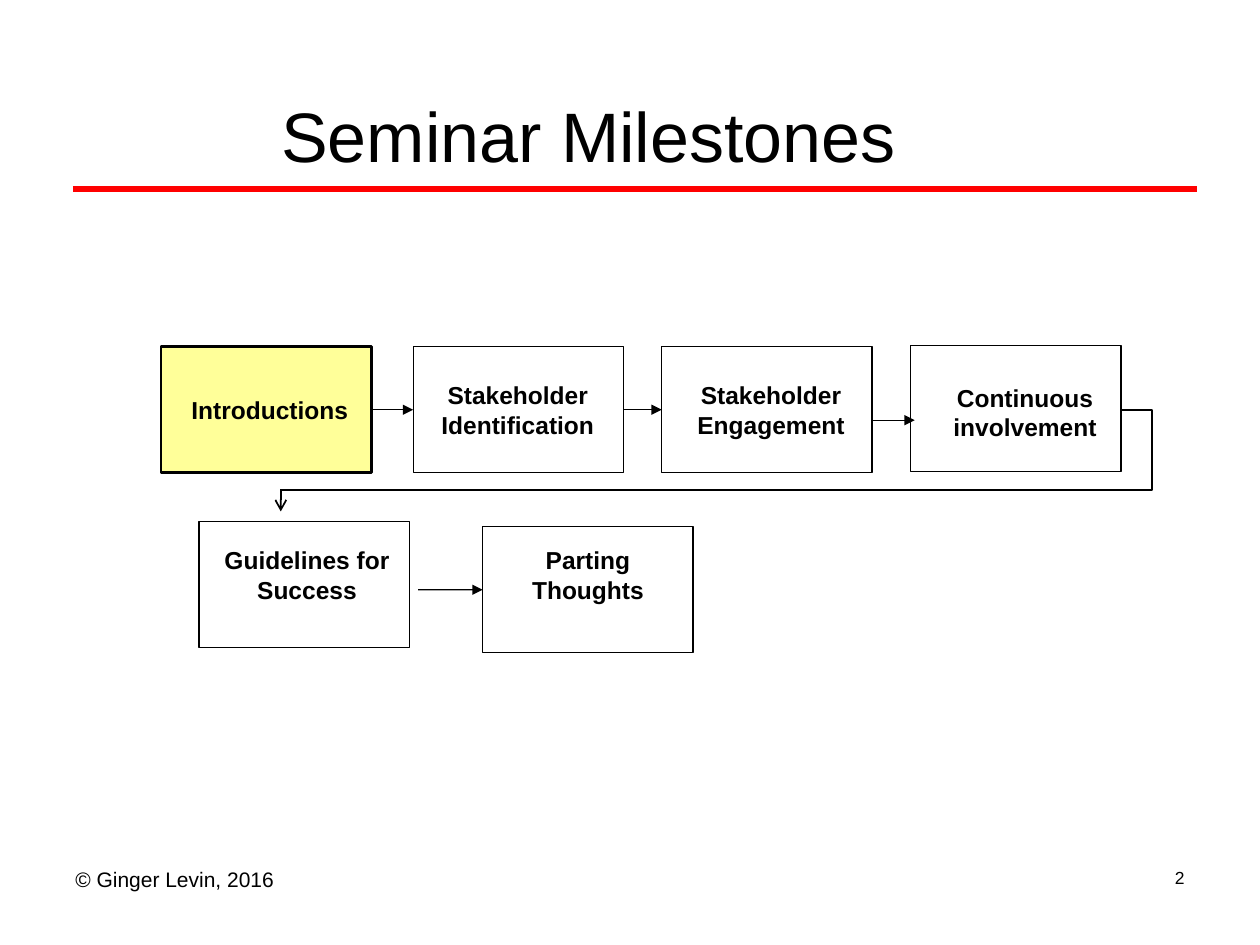
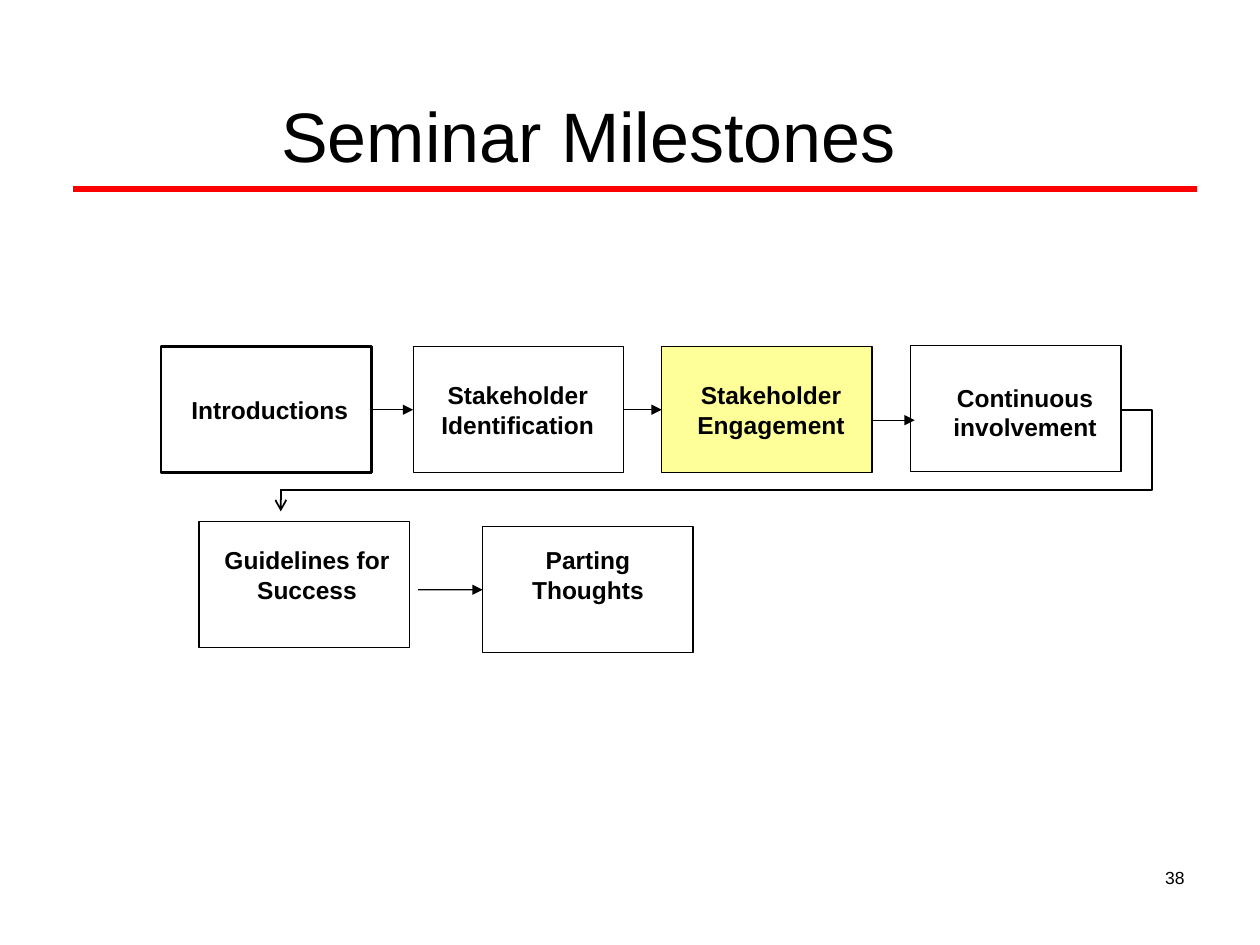
from lxml import etree
from pptx import Presentation
from pptx.dml.color import RGBColor as Rgb
from pptx.enum.shapes import MSO_CONNECTOR as Link, MSO_SHAPE as Shape
from pptx.enum.text import MSO_ANCHOR as Anchor, PP_ALIGN as Align
from pptx.oxml.ns import qn
from pptx.util import Cm, Pt

HUES = {"ink": "000000", "rule": "FF0000", "glow": "FFFF99"}
FONT = "Arial"
WIDE, HIGH = 4.24, 2.54

# name: box left, top, line width; label left, top, width, height
STEPS = {
    "Introductions": (3.25, 6.99, 1.5, 3.34, 7.84, 4.2, 0.86),
    "Stakeholder Identification": (8.33, 6.99, 0.5, 8.41, 7.54, 4.06, 2.03),
    "Stakeholder Engagement": (13.34, 6.99, 0.75, 13.31, 7.54, 4.47, 1.45),
    "Continuous involvement": (18.36, 6.96, 0.75, 18.44, 7.59, 4.45, 1.45),
    "Guidelines for Success": (4.01, 10.52, 0.75, 4.22, 10.87, 3.94, 1.45),
    "Parting Thoughts": (9.73, 10.62, 0.75, 10.19, 10.87, 3.33, 1.45),
}

# active step, page number, copyright line
PAGES = [
    ("Introductions", "2", "© Ginger Levin, 2016"),
    ("Stakeholder Engagement", "38", ""),
]


def write(shape, text, size, align, bold=False):
    frame = shape.text_frame
    frame.text = text
    frame.word_wrap = True
    para = frame.paragraphs[0]
    para.alignment = align
    font = para.runs[0].font
    font.name, font.size, font.bold = FONT, Pt(size), bold
    font.color.rgb = Rgb.from_string(HUES["ink"])


def draw(slide, ends, width=0.75, hue="ink", head=None, kind=Link.STRAIGHT):
    """Add a connector between ends (x1, y1, x2, y2), given in cm."""
    wire = slide.shapes.add_connector(kind, *map(Cm, ends))
    wire.line.width = Pt(width)
    wire.line.color.rgb = Rgb.from_string(HUES[hue])
    if head:
        etree.SubElement(wire.line._get_or_add_ln(), qn("a:tailEnd"), type=head)
    etree.SubElement(wire._element.spPr, qn("a:effectLst"))
    return wire


deck = Presentation()
deck.slide_width, deck.slide_height = Cm(25.4), Cm(19.05)
plan = deck.slide_layouts[5]
head = plan.placeholders[0]
head.left, head.top, head.width, head.height = map(Cm, (0.43, 1.12, 22.86, 3.18))
head.text_frame.vertical_anchor = Anchor.MIDDLE

for active, page, credit in PAGES:
    slide = deck.slides.add_slide(plan)
    shapes = slide.shapes
    write(shapes.title, "Seminar Milestones", 40, Align.CENTER)

    # The red rule belongs to the layout, so every slide shows it
    if page == PAGES[0][1]:
        rule = draw(slide, (1.47, 3.81, 24.13, 3.81), 3, "rule")
        plan.shapes.element.append(rule._element)

    boxes = []
    for name, (left, top, edge, *area) in STEPS.items():
        box = shapes.add_shape(Shape.RECTANGLE, *map(Cm, (left, top, WIDE, HIGH)))
        box.shadow.inherit = False
        box.line.width = Pt(edge)
        box.line.color.rgb = Rgb.from_string(HUES["ink"])
        if name == active:
            box.fill.solid()
            box.fill.fore_color.rgb = Rgb.from_string(HUES["glow"])
        else:
            box.fill.background()
        boxes.append(box)
        label = shapes.add_textbox(*map(Cm, area))
        write(label, name, 14, Align.CENTER, True)

    intro, ident, engage, involve, guide, part = boxes
    for start, end in ((intro, ident), (ident, engage)):
        wire = draw(slide, (0, 0, 1, 1), head="triangle")
        wire.begin_connect(start, 3)
        wire.end_connect(end, 1)
    draw(slide, (17.6, 8.47, 18.44, 8.47), head="triangle")
    wire = draw(slide, (8.43, 11.89, 9.73, 11.89), head="triangle")
    wire.end_connect(part, 1)

    # The return path swings out to the right before the second row
    bend = draw(slide, (22.6, 8.26, 5.65, 9.88), 1, kind=Link.ELBOW)
    guides = bend._element.spPr.find(qn("a:prstGeom")).get_or_add_avLst()
    etree.SubElement(guides, qn("a:gd"), name="adj1", fmla="val -3700")
    draw(slide, (5.66, 9.88, 5.66, 10.31), 1, head="arrow")

    if credit:
        foot = shapes.add_textbox(*map(Cm, (1.27, 17.35, 15.44, 1.32)))
        write(foot, credit, 12, Align.LEFT)
    count = shapes.add_textbox(*map(Cm, (18.21, 17.35, 5.92, 1.32)))
    write(count, page, 10, Align.RIGHT)

deck.save("out.pptx")
